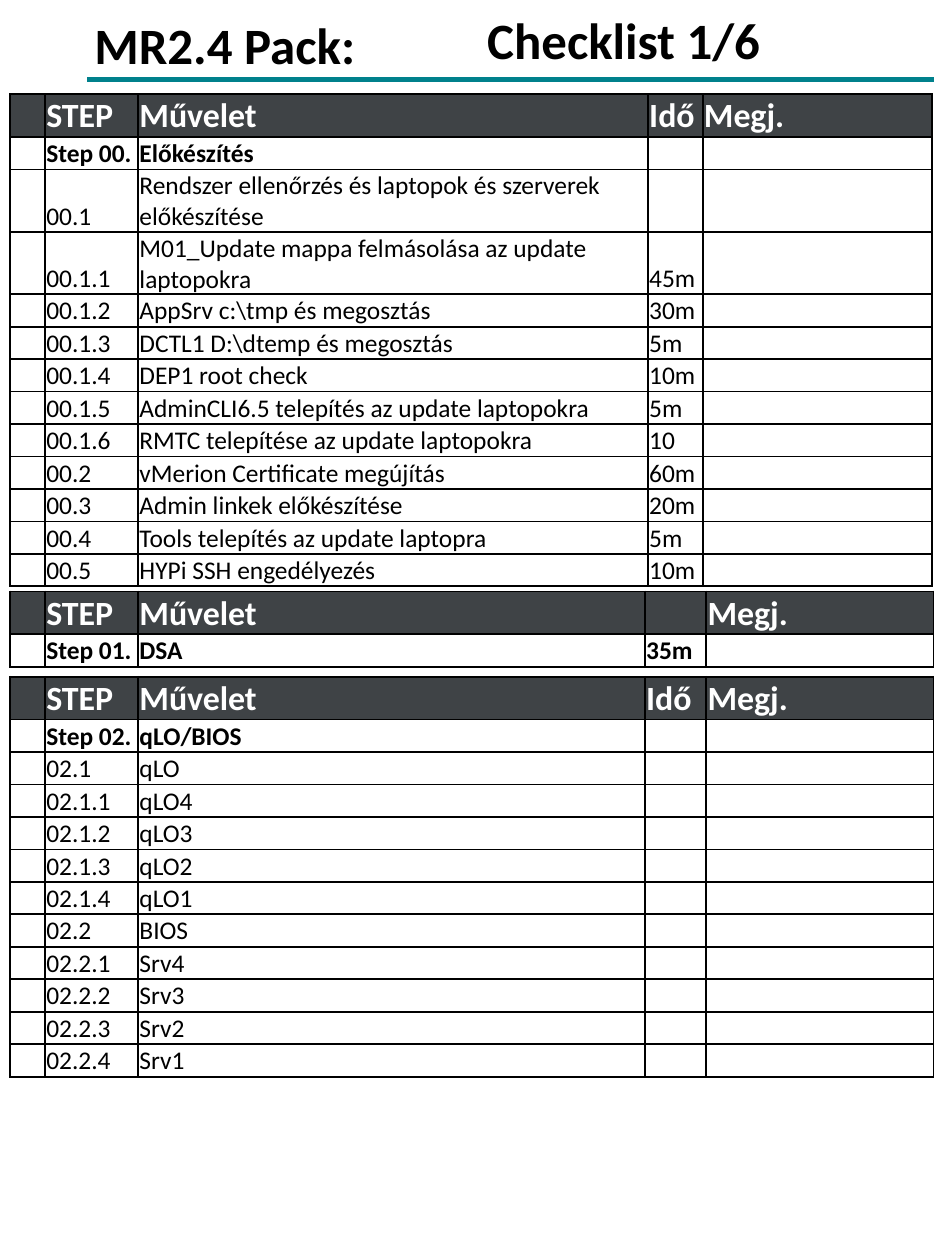
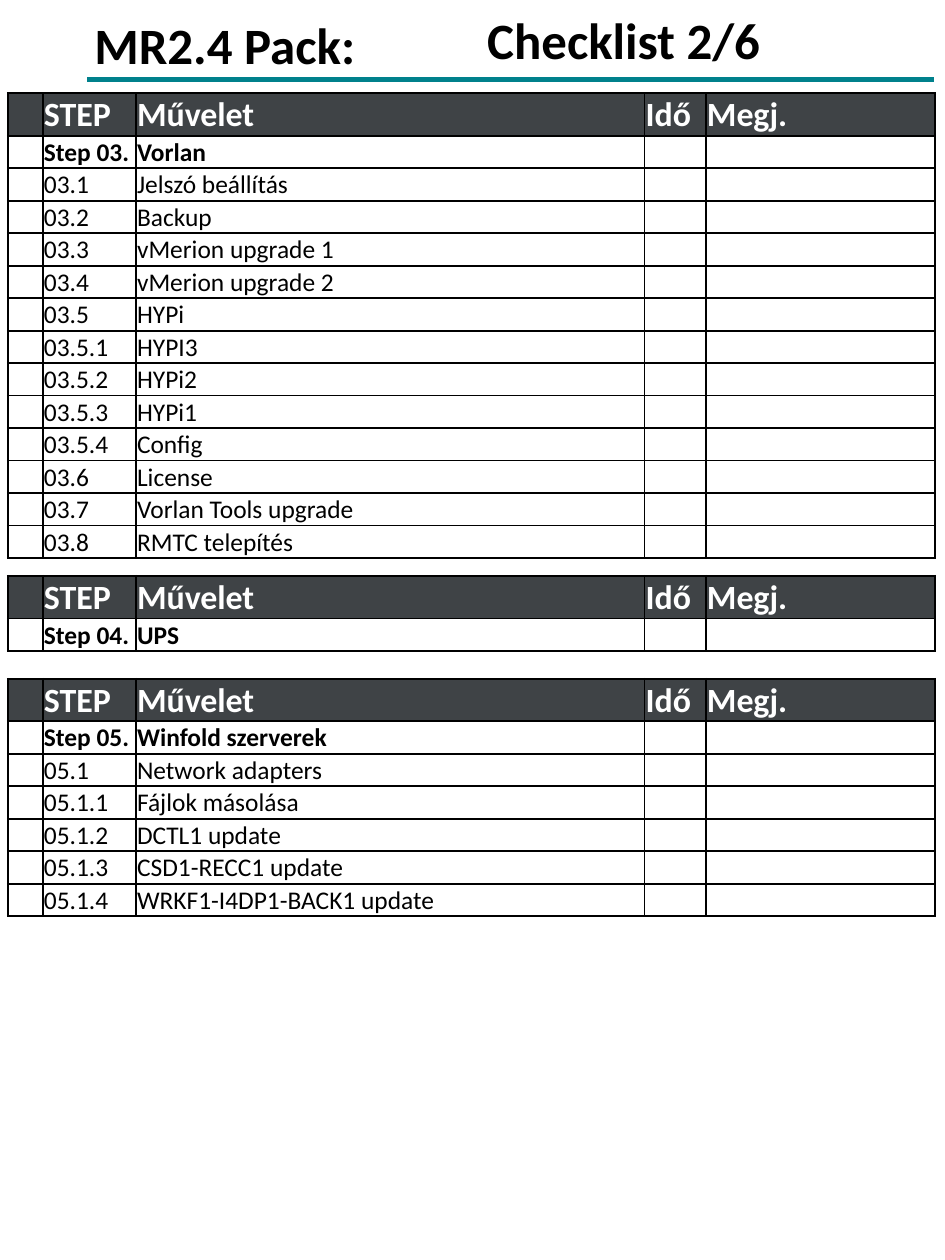
from lxml import etree
from pptx import Presentation
from pptx import util as u
from pptx.dml.color import RGBColor
from pptx.enum import shapes, text
from pptx.oxml import ns

BLACK = RGBColor(0x00, 0x00, 0x00)
WHITE = RGBColor(0xFF, 0xFF, 0xFF)
TEAL = RGBColor(0x00, 0x81, 0x8C)
SLATE = RGBColor(0x3F, 0x43, 0x46)
FONT = "Calibri"
HEADER = ("", "STEP", "Művelet", "Idő", "Megj.")


class Checklist:
    def __init__(self, prs):
        self.prs = prs
        self.s = None

    def style(self, p, size, color=BLACK, bold=False):
        p.font.name = FONT
        p.font.size = u.Pt(size)
        p.font.bold = bold
        p.font.color.rgb = color

    def page(self, title):
        self.s = self.prs.slides.add_slide(self.prs.slide_layouts[5])
        self.rule()
        self.label("MR2.4 Pack:")
        self.title(title)

    def title(self, value):
        sp = self.s.shapes.title
        sp.left, sp.top = u.Cm(7.85), u.Cm(-0.13)
        sp.width, sp.height = u.Cm(7.14), u.Cm(1.7)
        tf = sp.text_frame
        tf.text = value
        tf.vertical_anchor = text.MSO_ANCHOR.MIDDLE
        p = tf.paragraphs[0]
        p.alignment = text.PP_ALIGN.LEFT
        p.line_spacing = 0.9
        self.style(p, 24, bold=True)

    def rule(self):
        line = self.s.shapes.add_connector(
            shapes.MSO_CONNECTOR.STRAIGHT,
            u.Cm(1.45), u.Cm(1.32), u.Cm(15.54), u.Cm(1.32))
        line.line.color.rgb = TEAL
        line.line.width = u.Pt(2.25)
        etree.SubElement(line._element.spPr, ns.qn("a:effectLst"))

    def label(self, value):
        sp = self.s.shapes.add_textbox(u.Cm(1.32), u.Cm(0.1), u.Cm(4.88), u.Cm(1.27))
        tf = sp.text_frame
        tf.text = value
        tf.word_wrap = False
        tf.auto_size = text.MSO_AUTO_SIZE.SHAPE_TO_FIT_TEXT
        self.style(tf.paragraphs[0], 24, bold=True)

    def borders(self, cell):
        tcPr = cell._tc.get_or_add_tcPr()
        for side in ("lnL", "lnR", "lnT", "lnB"):
            ln = etree.SubElement(tcPr, ns.qn("a:" + side), w=str(u.Pt(1)))
            fill = etree.SubElement(ln, ns.qn("a:solidFill"))
            etree.SubElement(fill, ns.qn("a:srgbClr"), val=str(BLACK))

    def cell(self, cell, value, row):
        cell.margin_left = cell.margin_right = cell.margin_top = u.Cm(0.02)
        cell.margin_bottom = 0
        cell.vertical_anchor = text.MSO_ANCHOR.BOTTOM
        self.borders(cell)
        if row == 0:
            cell.fill.solid()
            cell.fill.fore_color.rgb = SLATE
        else:
            cell.fill.background()
        p = cell.text_frame.paragraphs[0]
        size = 16 if row == 0 else 12
        self.style(p, size, WHITE if row == 0 else BLACK, row < 2)
        if value:
            p.add_run().text = value
        else:
            etree.SubElement(p._p, ns.qn("a:endParaRPr"), sz=str(size * 100))

    def table(self, left, top, widths, steps, header=HEADER):
        rows = [header] + [("", *step) for step in steps]
        heights = [0.71] + [0.54] * len(steps)
        tbl = self.s.shapes.add_table(
            len(rows), len(widths), u.Cm(left), u.Cm(top),
            u.Cm(sum(widths)), u.Cm(sum(heights))).table
        tbl.first_row = tbl.horz_banding = False
        for column, width in zip(tbl.columns, widths):
            column.width = u.Cm(width)
        for i, height in enumerate(heights):
            tbl.rows[i].height = u.Cm(height)
            for j in range(len(widths)):
                self.cell(tbl.cell(i, j), rows[i][j] if j < len(rows[i]) else "", i)


PREPARATION = [
    ("Step 00.", "Előkészítés"),
    ("00.1", "Rendszer ellenőrzés és laptopok és szerverek előkészítése"),
    ("00.1.1", "M01_Update mappa felmásolása az update laptopokra", "45m"),
    ("00.1.2", "AppSrv c:\\tmp és megosztás", "30m"),
    ("00.1.3", "DCTL1 D:\\dtemp és megosztás", "5m"),
    ("00.1.4", "DEP1 root check", "10m"),
    ("00.1.5", "AdminCLI6.5 telepítés az update laptopokra", "5m"),
    ("00.1.6", "RMTC telepítése az update laptopokra", "10"),
    ("00.2", "vMerion Certificate megújítás", "60m"),
    ("00.3", "Admin linkek előkészítése", "20m"),
    ("00.4", "Tools telepítés az update laptopra", "5m"),
    ("00.5", "HYPi SSH engedélyezés", "10m"),
]
STORAGE = [("Step 01.", "DSA", "35m")]
FIRMWARE = [
    ("Step 02.", "qLO/BIOS"),
    ("02.1", "qLO"),
    *[(f"02.1.{i}", f"qLO{5 - i}") for i in range(1, 5)],
    ("02.2", "BIOS"),
    *[(f"02.2.{i}", f"Srv{5 - i}") for i in range(1, 5)],
]
VIRTUAL = [
    ("Step 03.", "Vorlan"),
    ("03.1", "Jelszó beállítás"),
    ("03.2", "Backup"),
    ("03.3", "vMerion upgrade 1"),
    ("03.4", "vMerion upgrade 2"),
    ("03.5", "HYPi"),
    ("03.5.1", "HYPI3"),
    ("03.5.2", "HYPi2"),
    ("03.5.3", "HYPi1"),
    ("03.5.4", "Config"),
    ("03.6", "License"),
    ("03.7", "Vorlan Tools upgrade"),
    ("03.8", "RMTC telepítés"),
]
POWER = [("Step 04.", "UPS")]
SERVERS = [
    ("Step 05.", "Winfold szerverek"),
    ("05.1", "Network adapters"),
    ("05.1.1", "Fájlok másolása"),
    ("05.1.2", "DCTL1 update"),
    ("05.1.3", "CSD1-RECC1 update"),
    ("05.1.4", "WRKF1-I4DP1-BACK1 update"),
]

prs = Presentation()
prs.slide_width, prs.slide_height = u.Cm(15.72), u.Cm(20.96)
doc = Checklist(prs)

doc.page("Checklist 1/6")
narrow_time = (0.58, 1.55, 8.48, 0.91, 3.81)
wide_time = (0.58, 1.55, 8.43, 1.02, 3.78)
doc.table(0.17, 1.57, narrow_time, PREPARATION)
doc.table(0.17, 9.84, wide_time, STORAGE, ("", "STEP", "Művelet", "", "Megj."))
doc.table(0.17, 11.26, wide_time, FIRMWARE)

doc.page("Checklist 2/6")
full_width = (0.58, 1.55, 8.46, 1.02, 3.81)
for top, steps in ((1.55, VIRTUAL), (9.58, POWER), (11.29, SERVERS)):
    doc.table(0.13, top, full_width, steps)

prs.save("out.pptx")
